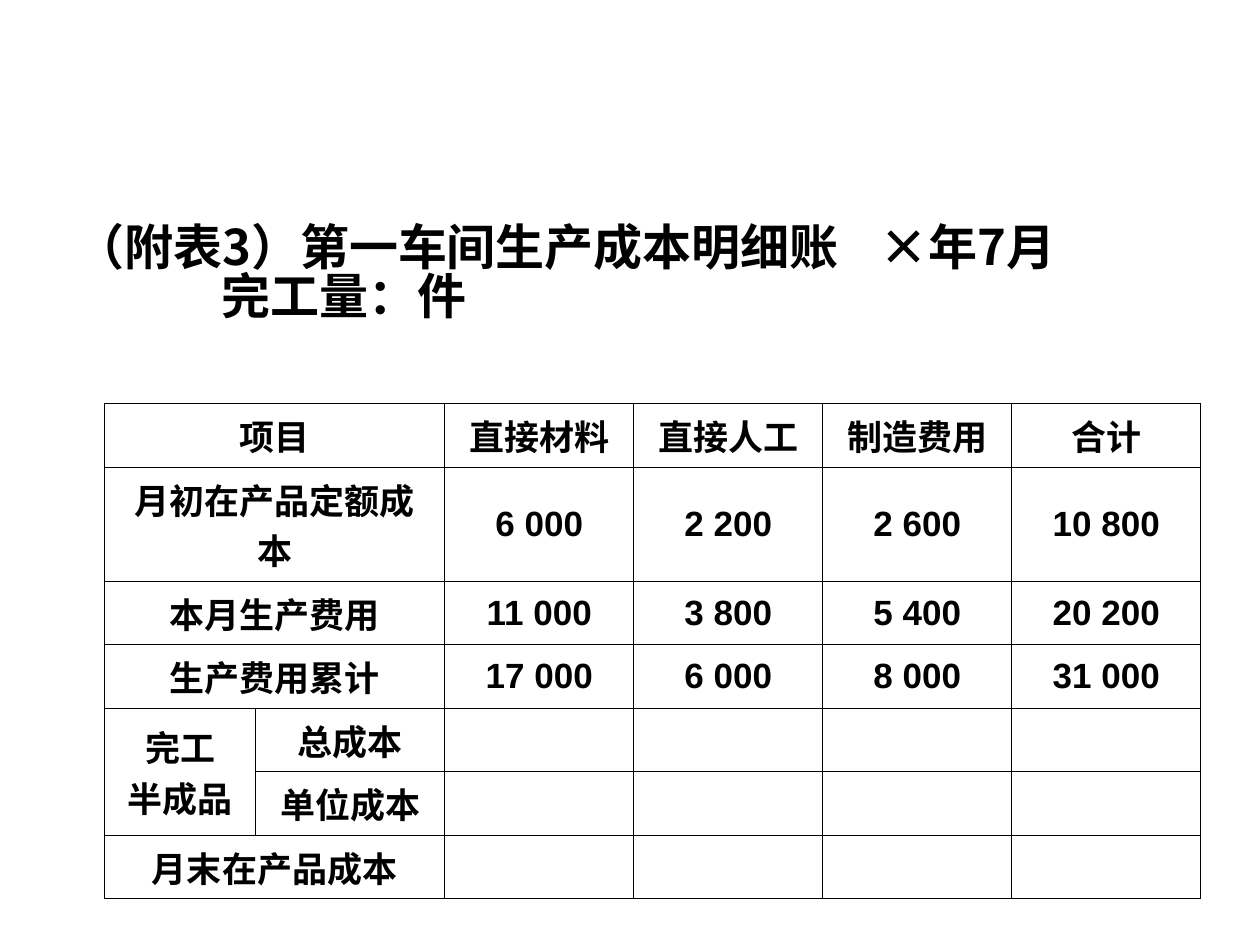
from dataclasses import dataclass

from lxml.etree import SubElement
from pptx import Presentation
from pptx.dml.color import RGBColor
from pptx.enum.text import MSO_ANCHOR, MSO_AUTO_SIZE, PP_ALIGN
from pptx.oxml.ns import qn
from pptx.util import Inches, Pt


@dataclass(frozen=True)
class Theme:
    ink: str = "000000"
    cjk_font: str = "Noto Sans CJK SC"
    label_font: str = "Times New Roman"
    figure_font: str = "Arial"
    heading_size: float = 28
    cell_size: float = 20
    rule_width: float = 0.45


THEME = Theme()
SLIDE_WIDTH, SLIDE_HEIGHT = Inches(10), Inches(7.5)

HEADING_LINES = ["（附表3）第一车间生产成本明细账\t×年7月", "完工量：件"]
LEDGER = [
    ["项目", "", "直接材料", "直接人工", "制造费用", "合计"],
    ["月初在产品定额成本", "", "6 000", "2 200", "2 600", "10 800"],
    ["本月生产费用", "", "11 000", "3 800", "5 400", "20 200"],
    ["生产费用累计", "", "17 000", "6 000", "8 000", "31 000"],
    ["完工\n半成品", "总成本", "", "", "", ""],
    ["", "单位成本", "", "", "", ""],
    ["月末在产品成本", "", "", "", "", ""],
]
FIGURE_ROWS = range(1, 4)
COLUMN_SHARES = [0.12] + [0.15] * 5
ROW_SHARES = [0.067, 0.12] + [0.067] * 5
MERGES = [((row, 0), (row, 1)) for row in (0, 1, 2, 3, 6)] + [((4, 0), (5, 0))]


def across(share):
    return round(SLIDE_WIDTH * share)


def down(share):
    return round(SLIDE_HEIGHT * share)


def style_runs(paragraph, font_name, size):
    for run in paragraph.runs:
        run.font.name = font_name
        run.font.size = Pt(size)
        run.font.bold = True
        run.font.color.rgb = RGBColor.from_string(THEME.ink)
        SubElement(run.font._element, qn("a:ea"), typeface=THEME.cjk_font)


def indent(paragraph, margin, first_line, tab=None):
    properties = paragraph._p.get_or_add_pPr()
    properties.set("marL", str(margin))
    properties.set("indent", str(first_line))
    SubElement(properties, qn("a:buNone"))
    if tab:
        stops = SubElement(properties, qn("a:tabLst"))
        SubElement(stops, qn("a:tab"), pos=str(tab), algn="l")


def write_heading(slide):
    heading = slide.placeholders[1]
    heading.left, heading.top = across(0.05), down(0.233)
    heading.width, heading.height = across(0.95), down(0.66)
    frame = heading.text_frame
    frame.text = "\n".join(HEADING_LINES)
    frame.auto_size = MSO_AUTO_SIZE.NONE
    account, quantity = frame.paragraphs
    indent(account, across(0.038), -across(0.038), across(0.653))
    indent(quantity, across(0.116), 0)
    for paragraph in frame.paragraphs:
        paragraph.space_before = Pt(0)
        paragraph.line_spacing = 0.83
        style_runs(paragraph, THEME.cjk_font, THEME.heading_size)


def rule_cell(cell):
    properties = cell._tc.get_or_add_tcPr()
    for position, side in enumerate(("lnL", "lnR", "lnT", "lnB")):
        line = SubElement(properties, qn(f"a:{side}"), w=str(Pt(THEME.rule_width)))
        fill = SubElement(line, qn("a:solidFill"))
        SubElement(fill, qn("a:srgbClr"), val=THEME.ink)
        properties.insert(position, line)


def write_cell(cell, wording, font_name):
    cell.fill.background()
    rule_cell(cell)
    cell.vertical_anchor = MSO_ANCHOR.MIDDLE
    cell.text_frame.text = wording
    for paragraph in cell.text_frame.paragraphs:
        paragraph.alignment = PP_ALIGN.CENTER
        style_runs(paragraph, font_name, THEME.cell_size)


def build_ledger(slide):
    ledger = slide.shapes.add_table(
        len(LEDGER), len(COLUMN_SHARES), across(0.083), down(0.427),
        across(sum(COLUMN_SHARES)), down(sum(ROW_SHARES)),
    ).table
    ledger.first_row = False
    ledger.horz_banding = False
    for column, share in zip(ledger.columns, COLUMN_SHARES):
        column.width = across(share)
    for row, share in zip(ledger.rows, ROW_SHARES):
        row.height = down(share)
    for row_index, entries in enumerate(LEDGER):
        font_name = THEME.figure_font if row_index in FIGURE_ROWS else THEME.label_font
        for column_index, wording in enumerate(entries):
            write_cell(ledger.cell(row_index, column_index), wording, font_name)
    for start, end in MERGES:
        ledger.cell(*start).merge(ledger.cell(*end))


def main():
    presentation = Presentation()
    presentation.slide_width, presentation.slide_height = SLIDE_WIDTH, SLIDE_HEIGHT
    slide = presentation.slides.add_slide(presentation.slide_layouts[1])
    empty_title = slide.shapes.title._element
    empty_title.getparent().remove(empty_title)
    write_heading(slide)
    build_ledger(slide)
    presentation.save("out.pptx")


if __name__ == "__main__":
    main()
